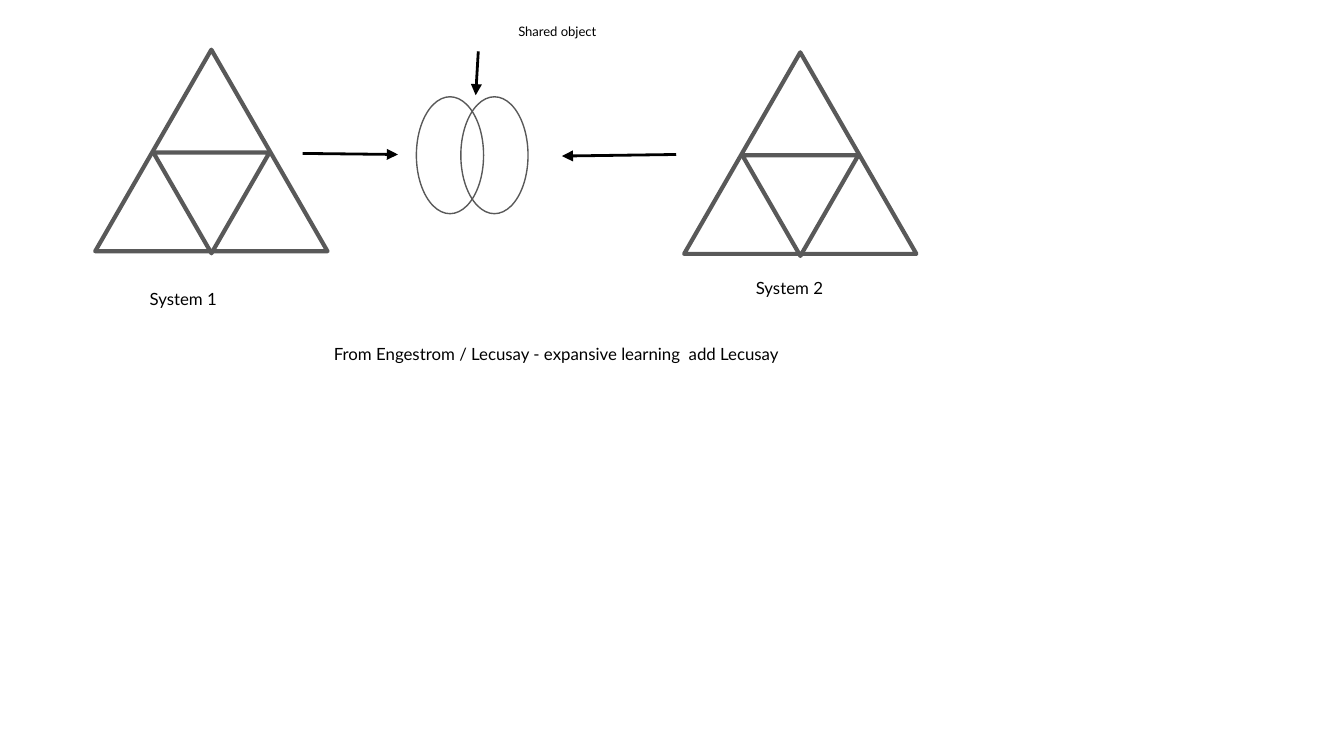
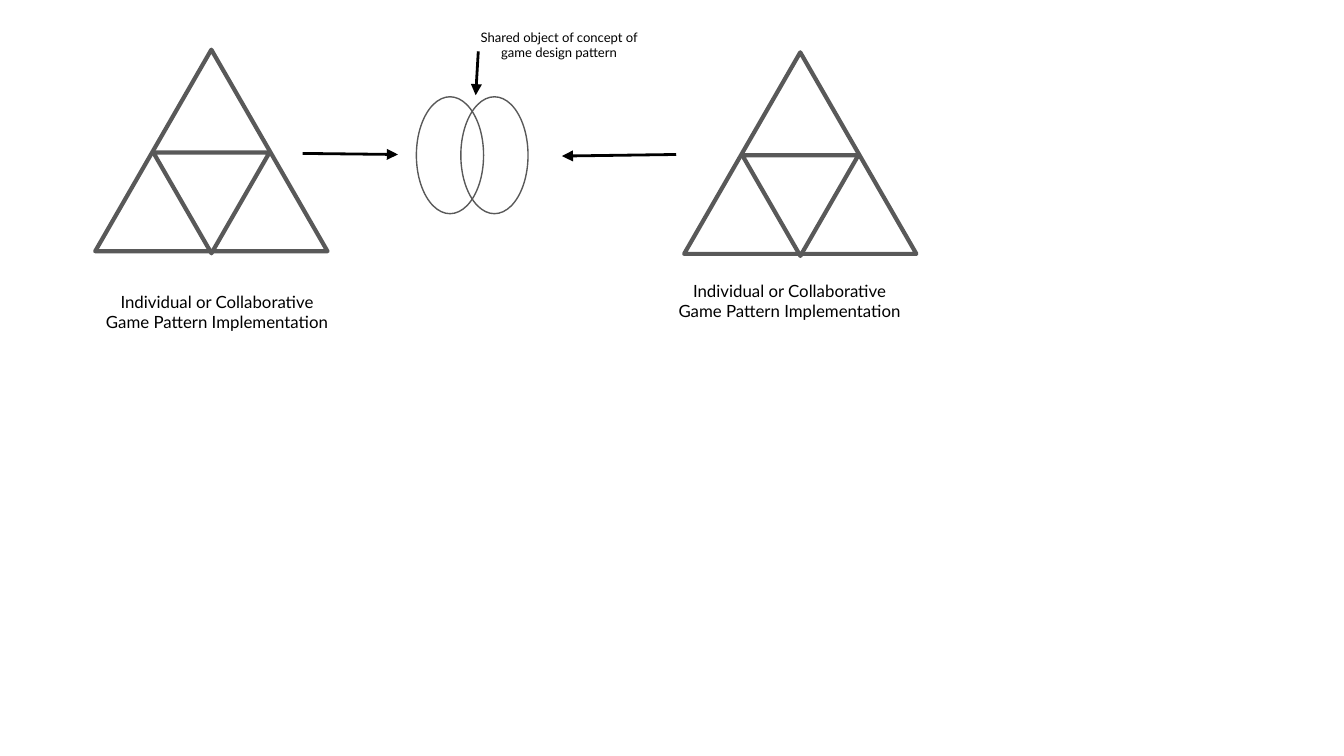
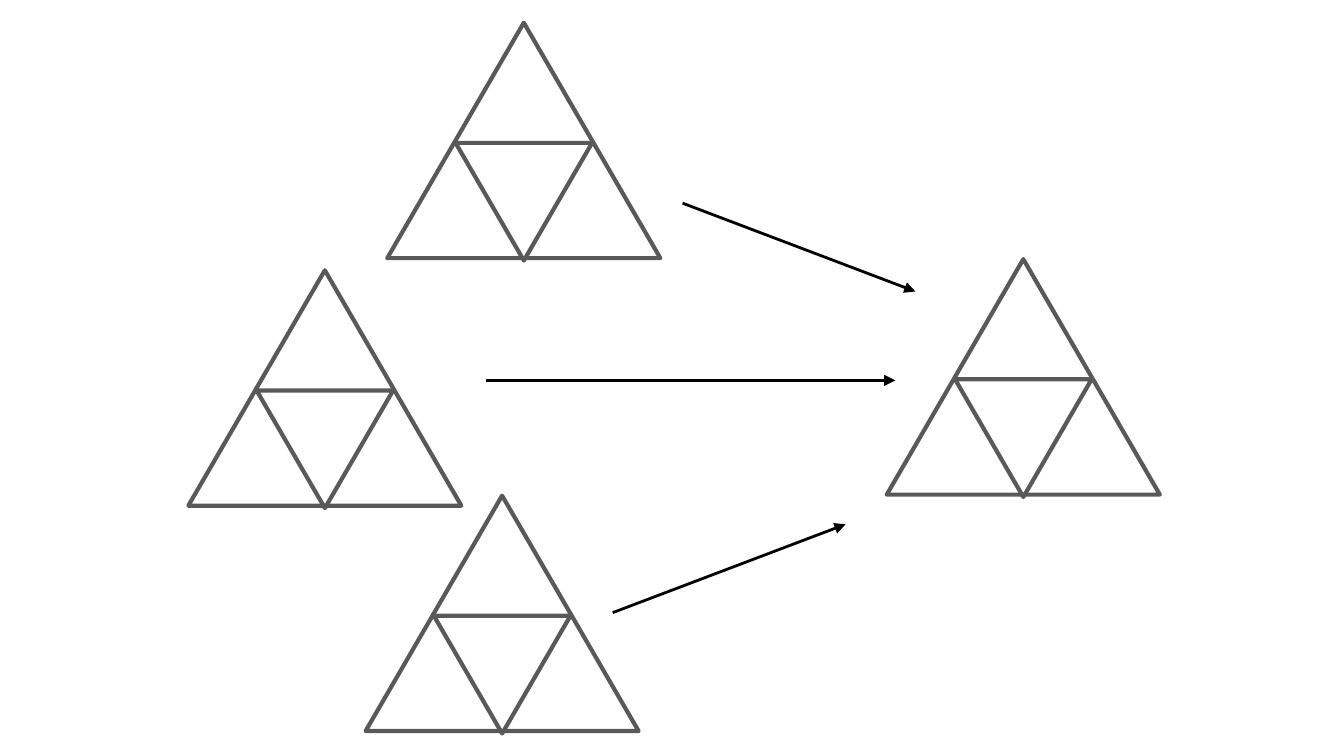
from lxml import etree
from pptx import Presentation
from pptx.dml.color import RGBColor
from pptx.enum.shapes import MSO_CONNECTOR, MSO_SHAPE
from pptx.enum.text import PP_ALIGN
from pptx.oxml.ns import qn
from pptx.util import Cm, Pt

BLACK = RGBColor(0x00, 0x00, 0x00)
GREY = RGBColor(0x59, 0x59, 0x59)
FONT = "Lato"
TRIANGLE = MSO_SHAPE.ISOSCELES_TRIANGLE
OVAL = MSO_SHAPE.OVAL
STRAIGHT = MSO_CONNECTOR.STRAIGHT
CENTER = PP_ALIGN.CENTER
BLANK_LAYOUT = 6
INSET = Cm(0.25)


class Deck:
    """Holds the shared style and draws on the current slide."""

    def __init__(self):
        self.prs = Presentation()
        self.prs.slide_width = Cm(25.4)
        self.prs.slide_height = Cm(14.29)
        self.s = None

    def new_slide(self):
        self.s = self.prs.slides.add_slide(self.prs.slide_layouts[BLANK_LAYOUT])

    def outline(self, shapes, kind, x, y, w, h, weight, rotation=0):
        """Add an unfilled shape with a grey, round-joined line."""
        sp = shapes.add_shape(kind, Cm(x), Cm(y), Cm(w), Cm(h))
        sp.rotation = rotation
        sp.shadow.inherit = False
        sp.fill.background()
        sp.line.color.rgb = GREY
        sp.line.width = Pt(weight)
        etree.SubElement(sp.line._get_or_add_ln(), qn("a:round"))

    def oval(self, x, y, w, h):
        self.outline(self.s.shapes, OVAL, x, y, w, h, 0.75)

    def activity_triangle(self, x, y, w, h):
        """Group a triangle with an inverted one of half its size inside."""
        shapes = self.s.shapes.add_group_shape().shapes
        self.outline(shapes, TRIANGLE, x, y, w, h, 2.25)
        self.outline(shapes, TRIANGLE, x + w / 4, y + 0.51 * h, w / 2, h / 2,
                     2.25, rotation=180)

    def arrow(self, x1, y1, x2, y2):
        line = self.s.shapes.add_connector(STRAIGHT, Cm(x1), Cm(y1), Cm(x2), Cm(y2))
        line.line.color.rgb = BLACK
        line.line.width = Pt(1.5)
        etree.SubElement(line.line._get_or_add_ln(), qn("a:tailEnd"), type="triangle")
        etree.SubElement(line._element.spPr, qn("a:effectLst"))

    def text(self, text, *, x, y, w, h=1.27, size=9, color=BLACK, align=CENTER):
        tf = self.s.shapes.add_textbox(Cm(x), Cm(y), Cm(w), Cm(h)).text_frame
        tf.word_wrap = True
        tf.margin_left = tf.margin_right = tf.margin_top = tf.margin_bottom = INSET
        p = tf.paragraphs[0]
        p.alignment = align
        r = p.add_run()
        r.text = text
        r.font.name = FONT
        r.font.size = Pt(size)
        r.font.color.rgb = color


def shared_object_slide(deck, left_system, right_system, shared_object):
    """Two activity systems pointing at overlapping ovals."""
    deck.new_slide()
    deck.arrow(12.78, 2.92, 10.62, 2.95)
    deck.arrow(5.72, 2.9, 7.52, 2.92)
    deck.text(left_system, x=1.7, y=5.26, w=4.8)
    deck.activity_triangle(1.8, 0.94, 4.39, 3.81)
    for x in (7.87, 8.71):
        deck.oval(x, 1.83, 1.27, 2.21)
    deck.activity_triangle(12.93, 0.99, 4.39, 3.81)
    deck.text(right_system, x=12.52, y=5.05, w=4.8)
    deck.arrow(9.04, 0.97, 8.99, 1.8)
    deck.text(shared_object, x=8.61, y=0.3, w=3.91, size=7)


def converging_slide(deck):
    """Three activity systems feeding a fourth."""
    deck.new_slide()
    for x, y in ((16.76, 4.9), (6.91, 9.37), (3.56, 5.11), (7.32, 0.43)):
        deck.activity_triangle(x, y, 5.16, 4.45)
    deck.arrow(11.58, 11.58, 15.98, 9.91)
    deck.arrow(9.19, 7.19, 16.92, 7.19)
    deck.arrow(12.9, 3.84, 17.3, 5.51)


def main():
    deck = Deck()
    shared_object_slide(deck, "System 1\t", "System 2", "Shared object ")
    deck.text("From Engestrom / Lecusay - expansive learning  add Lecusay",
              x=5, y=6.3, w=11.02)
    implementation = "Individual or Collaborative Game Pattern Implementation"
    shared_object_slide(deck, implementation, implementation,
                        "Shared object of concept of game design pattern")
    converging_slide(deck)
    deck.prs.save("out.pptx")


if __name__ == "__main__":
    main()
